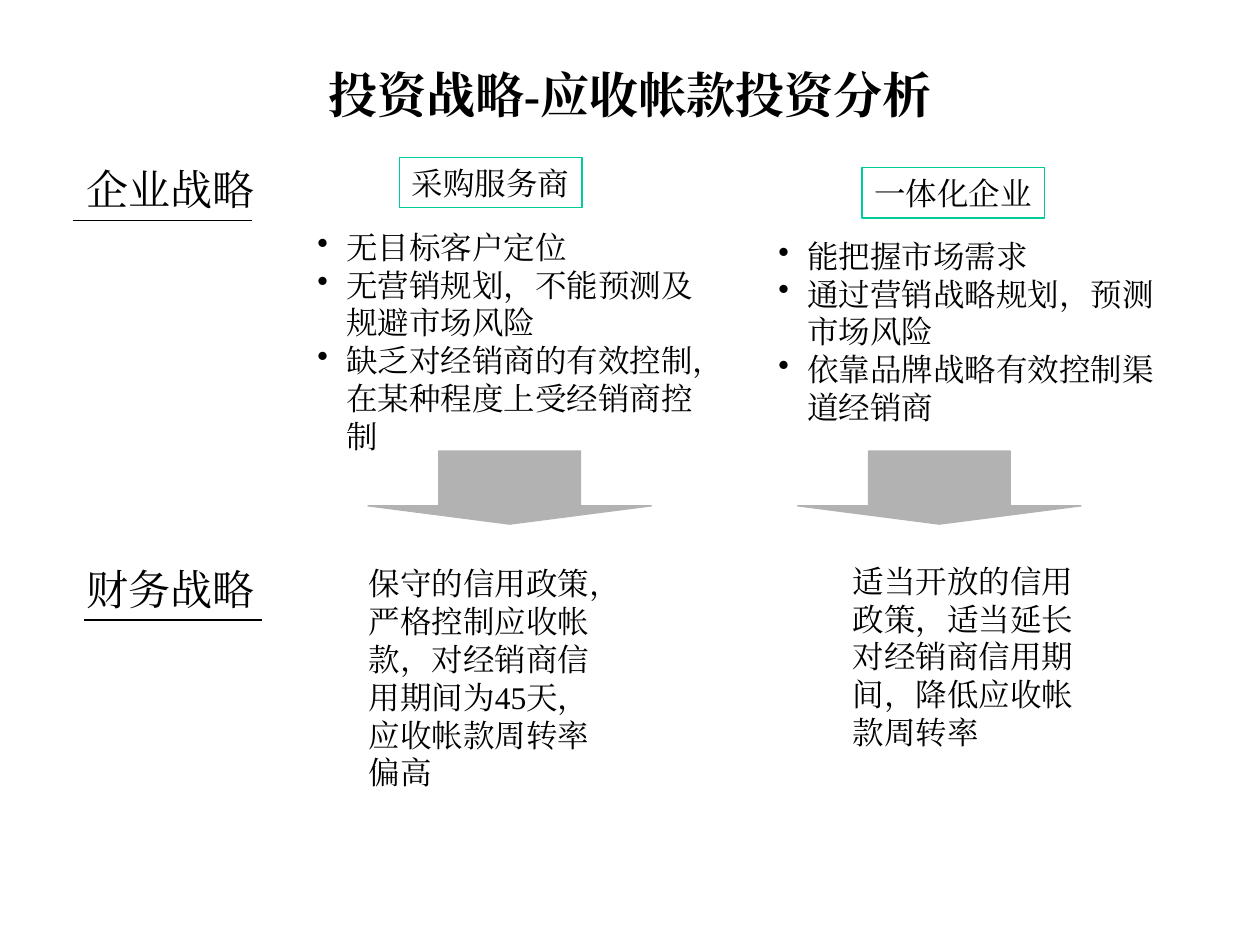
from lxml.etree import SubElement
from pptx import Presentation
from pptx.dml.color import RGBColor
from pptx.enum.shapes import MSO_CONNECTOR, MSO_SHAPE
from pptx.enum.text import MSO_ANCHOR, PP_ALIGN
from pptx.oxml.ns import qn
from pptx.util import Inches, Pt

FONT = "Times New Roman"
BLACK, GREEN, GREY = "000000", "00CC99", "B2B2B2"
BULLET_INDENT = 0.23
ARROW_TOP = 3.58

HEADINGS = [
    # text, left, top, rule left, rule right, rule y
    ("企业战略", 0.59, 1.25, 0.58, 2, 1.75),
    ("财务战略", 0.59, 4.42, 0.67, 2.08, 4.92),
]

COMPANIES = [
    {
        "name": ("采购服务商", 3.17, 1.25),
        "traits": (
            ["无目标客户定位",
             "无营销规划，不能预测及规避市场风险",
             "缺乏对经销商的有效控制，在某种程度上受经销商控制"],
            2.42, 1.76),
        "arrow_left": 2.92,
        "policy": ("保守的信用政策，严格控制应收帐款，对经销商信用期间为45天，应收帐款周转率偏高",
                   2.83, 4.43, 1.9),
    },
    {
        "name": ("一体化企业", 6.84, 1.33),
        "traits": (
            ["能把握市场需求",
             "通过营销战略规划，预测市场风险",
             "依靠品牌战略有效控制渠道经销商"],
            6.08, 1.83),
        "arrow_left": 6.33,
        "policy": ("适当开放的信用政策，适当延长对经销商信用期间，降低应收帐款周转率",
                   6.67, 4.41, 1.6),
    },
]


def color(hex_code):
    return RGBColor.from_string(hex_code)


def add_bullet(paragraph):
    properties = paragraph._p.get_or_add_pPr()
    properties.set("marL", str(Inches(BULLET_INDENT)))
    properties.set("indent", str(-Inches(BULLET_INDENT)))
    SubElement(properties, qn("a:buChar")).set("char", "•")


def write(frame, lines, size=18, bold=False, align=PP_ALIGN.LEFT,
          anchor=MSO_ANCHOR.TOP, wrap=True, bullets=False):
    frame.word_wrap = wrap
    frame.vertical_anchor = anchor
    for number, line in enumerate(lines):
        paragraph = frame.add_paragraph() if number else frame.paragraphs[0]
        paragraph.alignment = align
        if bullets:
            add_bullet(paragraph)
        run = paragraph.add_run()
        run.text = line
        run.font.size = Pt(size)
        run.font.bold = bold
        run.font.name = FONT
        run.font.color.rgb = color(BLACK)
        SubElement(run.font._element, qn("a:ea")).set("typeface", FONT)


def add_text(slide, lines, left, top, width, height, **text_format):
    box = slide.shapes.add_textbox(
        Inches(left), Inches(top), Inches(width), Inches(height))
    write(box.text_frame, lines, **text_format)


def add_outlined(slide, preset, left, top, width, height, line, fill=None):
    shape = slide.shapes.add_shape(
        preset, Inches(left), Inches(top), Inches(width), Inches(height))
    shape.shadow.inherit = False
    if fill:
        shape.fill.solid()
        shape.fill.fore_color.rgb = color(fill)
    else:
        shape.fill.background()
    shape.line.color.rgb = color(line)
    shape.line.width = Pt(0.75)
    return shape


def add_rule(slide, left, right, y):
    rule = slide.shapes.add_connector(
        MSO_CONNECTOR.STRAIGHT, Inches(left), Inches(y), Inches(right), Inches(y))
    rule.line.color.rgb = color(BLACK)
    rule.line.width = Pt(0.75)
    SubElement(rule._element.spPr, qn("a:effectLst"))


def add_heading(slide, text, left, top, rule_left, rule_right, rule_y):
    add_text(slide, [text], left, top, 1.53, 0.5, size=24, wrap=False)
    add_rule(slide, rule_left, rule_right, rule_y)


def add_company(slide, company):
    """Draw one column: name, traits, arrow and resulting credit policy."""
    name, left, top = company["name"]
    name_box = add_outlined(slide, MSO_SHAPE.RECTANGLE, left, top, 1.45, 0.4, GREEN)
    write(name_box.text_frame, [name], wrap=False)

    traits, left, top = company["traits"]
    add_text(slide, traits, left, top, 3.29, 1.6, bullets=True)

    arrow = add_outlined(slide, MSO_SHAPE.DOWN_ARROW, company["arrow_left"],
                         ARROW_TOP, 2.25, 0.58, GREY, fill=GREY)
    arrow.adjustments[0] = 0.5
    arrow.adjustments[1] = 0.25

    policy, left, top, height = company["policy"]
    add_text(slide, [policy], left, top, 2.17, height)


def main():
    presentation = Presentation()
    presentation.slide_width = Inches(10)
    presentation.slide_height = Inches(7.5)
    slide = presentation.slides.add_slide(presentation.slide_layouts[6])

    add_text(slide, ["投资战略-应收帐款投资分析"], 0.75, 0.33, 8.5, 0.83,
             size=28, bold=True, align=PP_ALIGN.CENTER, anchor=MSO_ANCHOR.MIDDLE)
    for heading in HEADINGS:
        add_heading(slide, *heading)
    for company in COMPANIES:
        add_company(slide, company)

    presentation.save("out.pptx")


if __name__ == "__main__":
    main()
